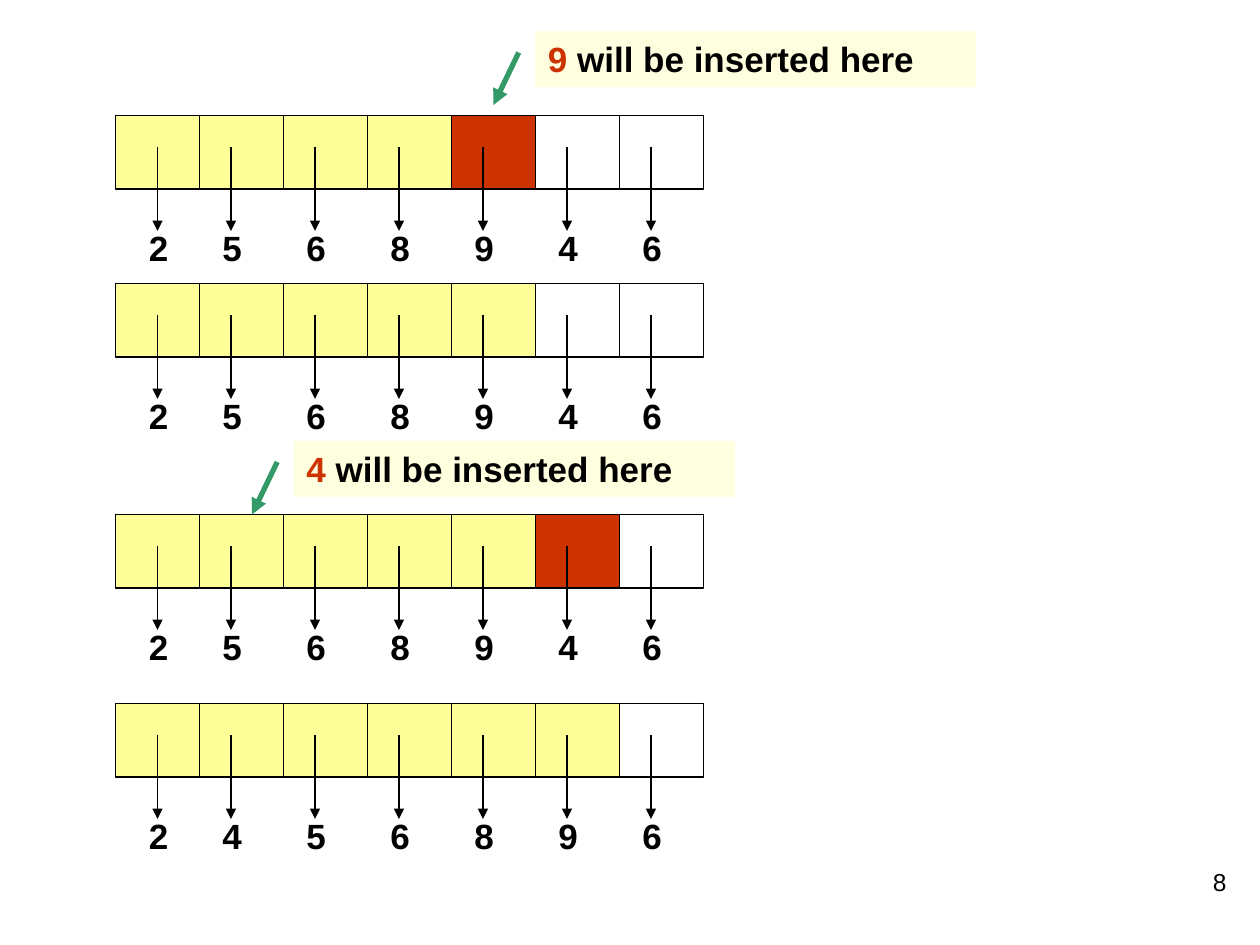
from lxml.etree import SubElement
from pptx import Presentation
from pptx.dml.color import RGBColor
from pptx.enum.shapes import MSO_CONNECTOR as Connector, MSO_SHAPE as Shape
from pptx.enum.text import MSO_ANCHOR as Anchor, MSO_AUTO_SIZE as AutoSize, PP_ALIGN as Align
from pptx.oxml.ns import qn
from pptx.util import Emu, Pt

BLACK, YELLOW, RED, GREEN, CREAM = "000000", "FFFF99", "CC3300", "339966", "FFFFDF"
CELL_WIDTH, CELL_HEIGHT, ROW_LEFT = 80, 70, 110


def px(count):
    """Turn pixels, 120 to the inch, into EMU."""
    return Emu(count * 7620)


def color(hex_string):
    return RGBColor.from_string(hex_string)


class SlideBuilder:
    font = "Arial"

    def __init__(self, slide):
        self.shapes = slide.shapes

    def rect(self, left, top, width, height, fill=None, line=None):
        shape = self.shapes.add_shape(Shape.RECTANGLE, px(left), px(top), px(width), px(height))
        shape.shadow.inherit = False
        if fill:
            shape.fill.solid()
            shape.fill.fore_color.rgb = color(fill)
        else:
            shape.fill.background()
        if line:
            shape.line.color.rgb = color(line)
            shape.line.width = Pt(0.75)
        else:
            shape.line.fill.background()
        return shape

    def add_runs(self, shape, runs, size=20, bold=True, align=Align.LEFT,
                 auto_size=AutoSize.SHAPE_TO_FIT_TEXT):
        """Fill a shape with one paragraph of (text, colour) runs."""
        frame = shape.text_frame
        frame.word_wrap = True
        frame.auto_size = auto_size
        frame.vertical_anchor = Anchor.TOP
        para = frame.paragraphs[0]
        para.alignment = align
        for text, ink in runs:
            run = para.add_run()
            run.text = text
            run.font.name = self.font
            run.font.size = Pt(size)
            run.font.bold = bold
            run.font.color.rgb = color(ink)

    def text(self, left, top, width, height, text, **style):
        box = self.shapes.add_textbox(px(left), px(top), px(width), px(height))
        self.add_runs(box, [(text, BLACK)], **style)

    def arrow(self, start_x, start_y, end_x, end_y, ink=BLACK, weight=0.75):
        arrow = self.shapes.add_connector(
            Connector.STRAIGHT, px(start_x), px(start_y), px(end_x), px(end_y))
        arrow.line.color.rgb = color(ink)
        arrow.line.width = Pt(weight)
        properties = arrow._element.spPr
        SubElement(properties.get_or_add_ln(), qn("a:tailEnd"), type="triangle")
        SubElement(properties, qn("a:effectLst"))

    def array_row(self, top, values, sorted_count, inserted=None):
        """Draw an array whose cells point to their values below."""
        for index in range(len(values)):
            fill = RED if index == inserted else YELLOW if index < sorted_count else None
            self.rect(ROW_LEFT + index * CELL_WIDTH, top, CELL_WIDTH, CELL_HEIGHT, fill, BLACK)
        for index, value in enumerate(values):
            # The first pointer is centred in its cell; the others sit 10 px further left.
            pointer = ROW_LEFT + index * CELL_WIDTH + (30 if index else 40)
            self.text(pointer - 20, top + 100, 50, 53, value)
            self.arrow(pointer, top + 30, pointer, top + 110)

    def insertion_note(self, left, top, value):
        self.arrow(left - 16, top + 20, left - 40, top + 70, GREEN, 3)
        note = self.rect(left, top, 420, 53, CREAM)
        self.add_runs(note, [(value, RED), (" will be inserted here", BLACK)])


def main():
    deck = Presentation()
    deck.slide_width, deck.slide_height = px(1200), px(900)
    page = SlideBuilder(deck.slides.add_slide(deck.slide_layouts[6]))

    page.array_row(110, "2568946", sorted_count=4, inserted=4)
    page.insertion_note(510, 30, "9")
    page.array_row(270, "2568946", sorted_count=5)
    page.array_row(490, "2568946", sorted_count=5, inserted=5)
    page.insertion_note(280, 420, "4")
    page.array_row(670, "2456896", sorted_count=6)
    page.text(930, 820, 250, 60, "8", size=14, bold=False, align=Align.RIGHT, auto_size=AutoSize.NONE)

    deck.save("out.pptx")


if __name__ == "__main__":
    main()
